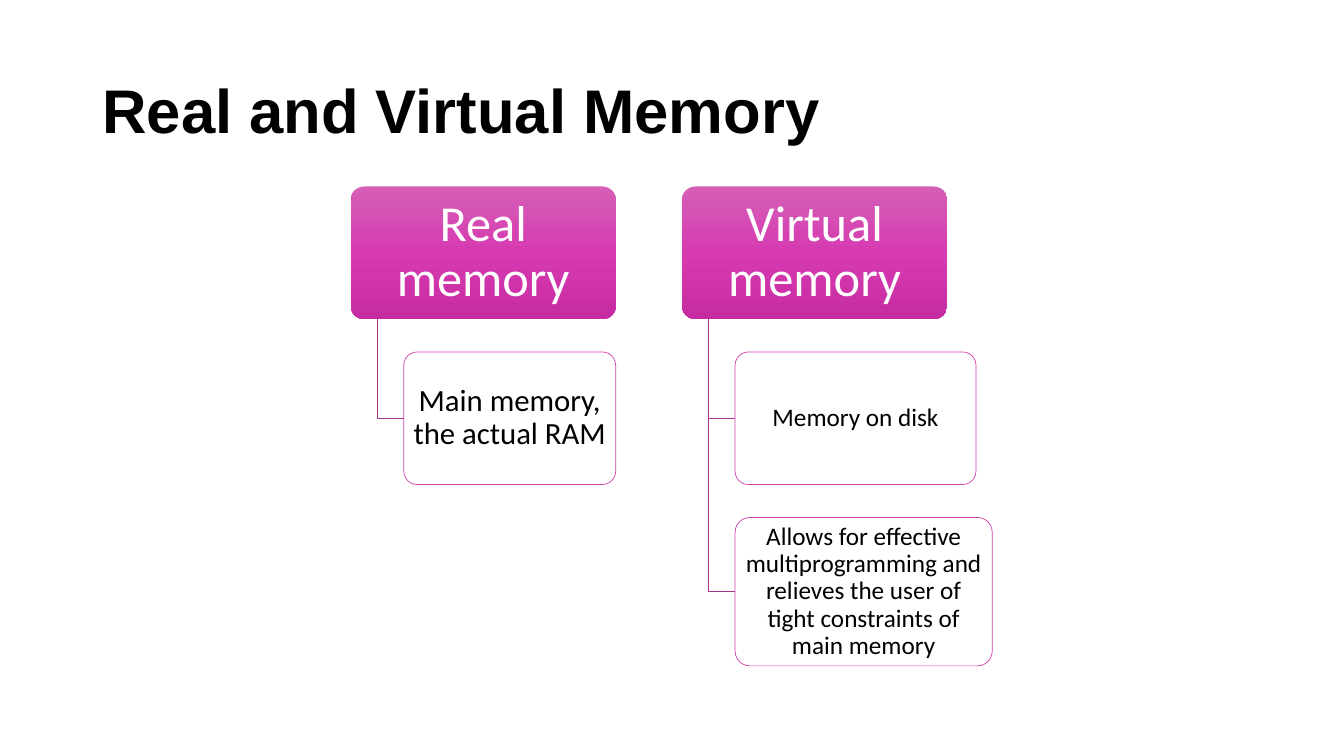
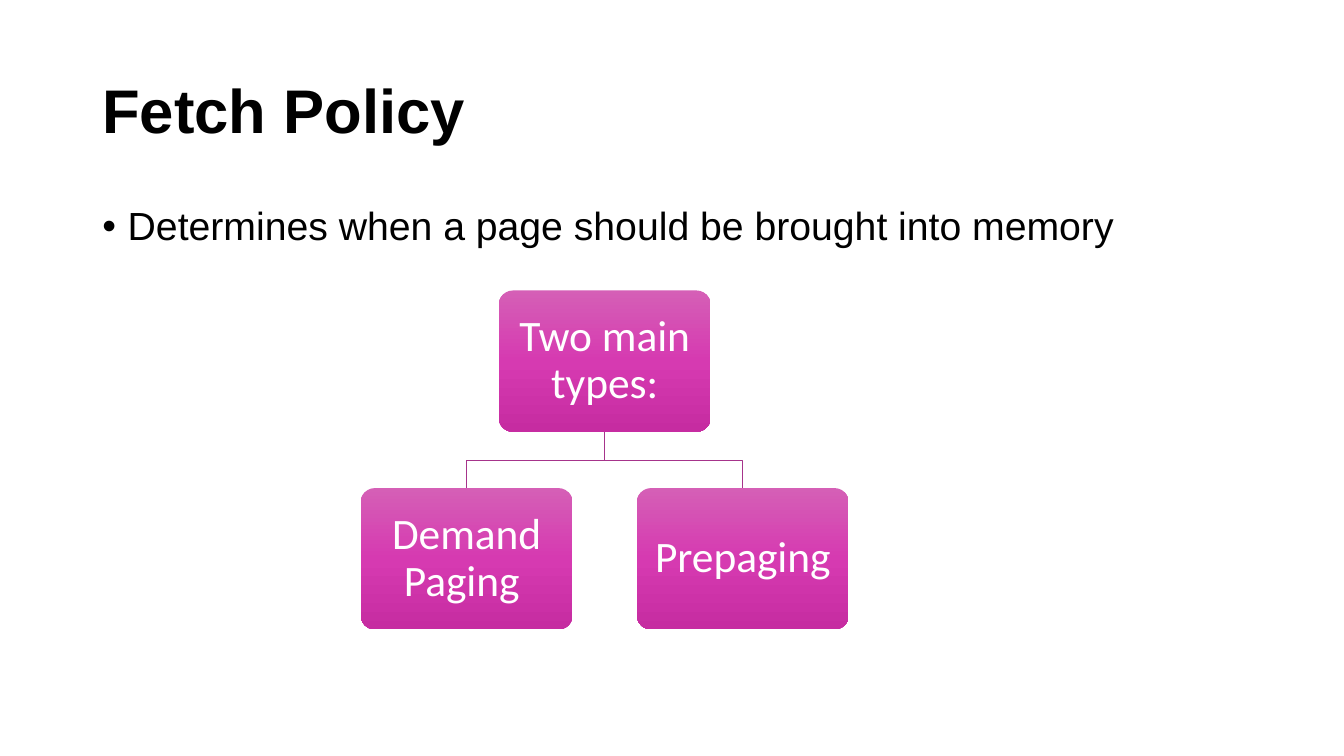
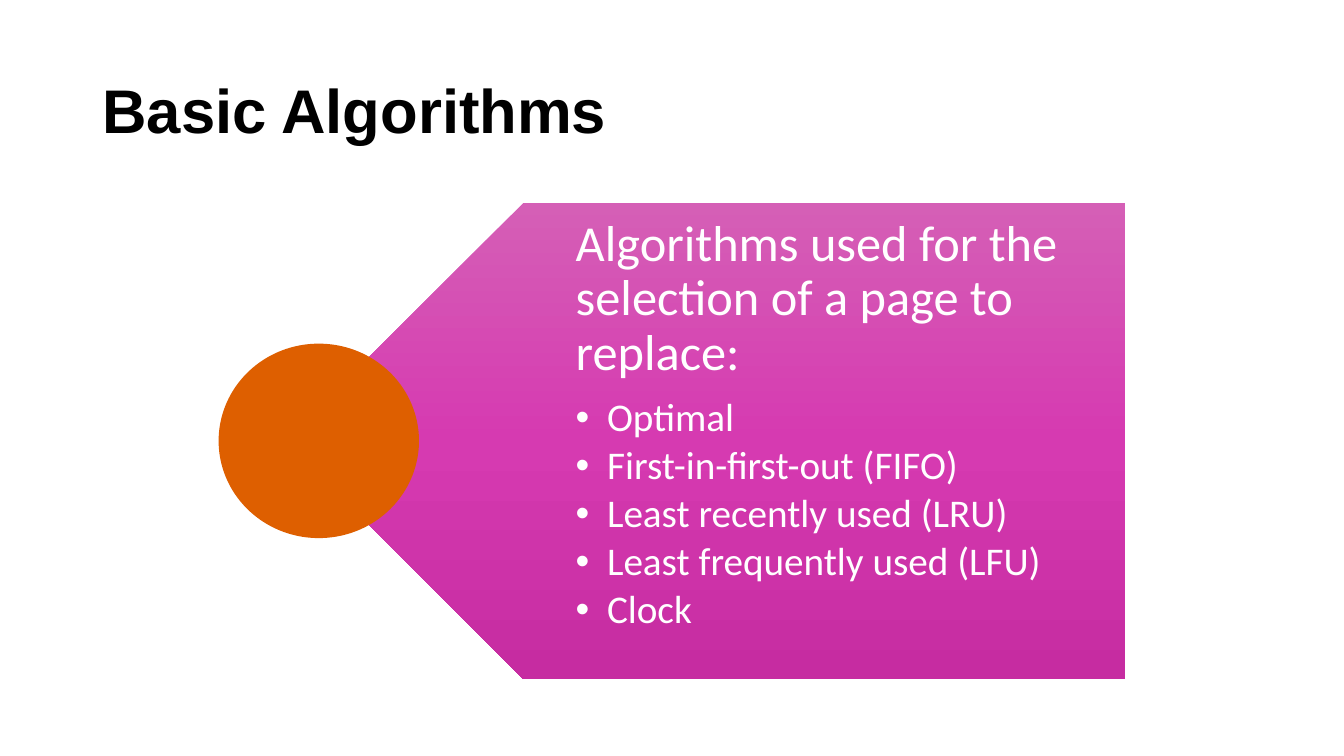
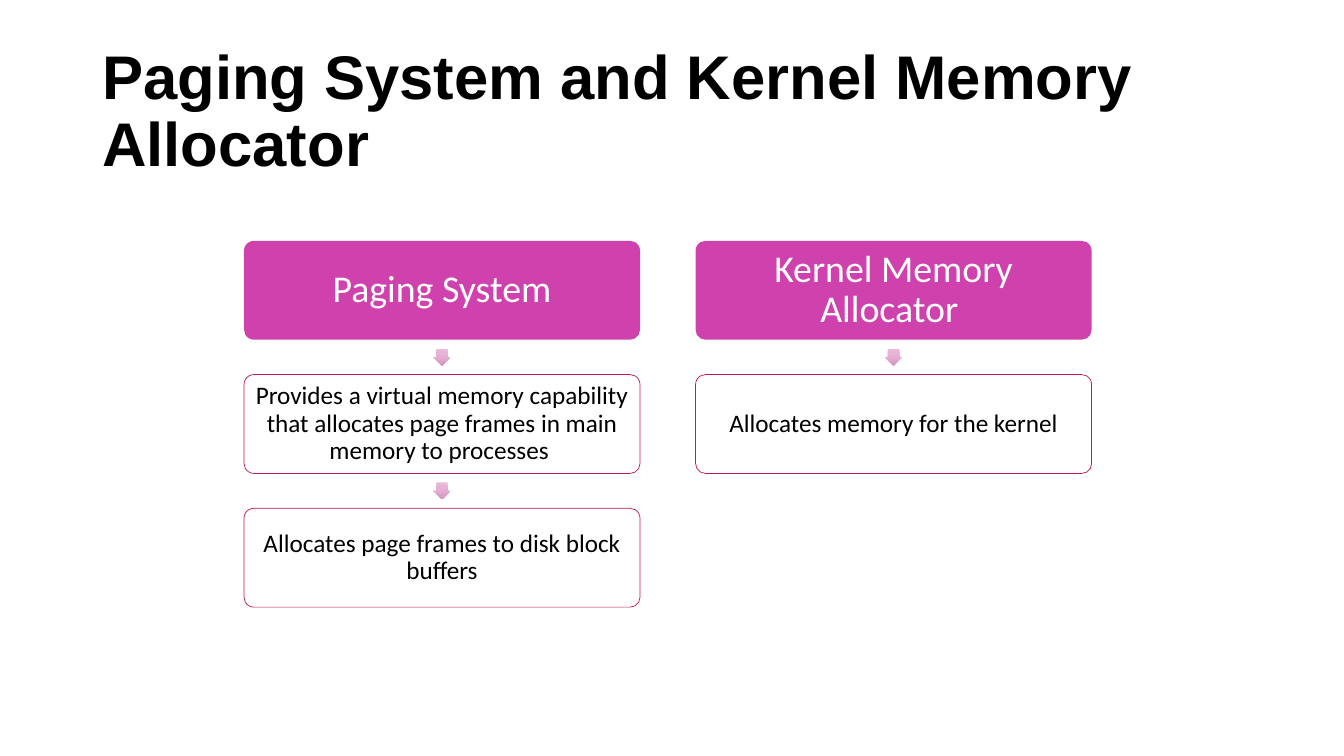
from pptx import Presentation
from pptx.dml.color import RGBColor
from pptx.enum.shapes import MSO_SHAPE
from pptx.enum.text import MSO_ANCHOR, PP_ALIGN
from pptx.oxml import parse_xml
from pptx.oxml.ns import nsdecls, qn
from pptx.util import Cm, Pt

BLACK, WHITE = "000000", "FFFFFF"
PINK, PLUM, CRIMSON, ORANGE = "CF41AD", "A6348B", "C11650", "DE5F00"
PINK_SHADES = ("D55FB6", "D63AB1", "C62CA1")
PALE_SHADES = ("E8BBD9", "E6ADD4", "D096BD")


def rgb(color):
    return RGBColor.from_string(color)


def write(tf, text, size=18, color=BLACK, font="Calibri", bold=False,
          align=PP_ALIGN.LEFT, after=0, bullet_indent=None):
    """Fill the first paragraph of tf, or add one if it already has text."""
    p = tf.add_paragraph() if tf.text else tf.paragraphs[0]
    if bullet_indent:
        pPr = p._p.get_or_add_pPr()
        pPr.set("marL", str(Cm(bullet_indent)))
        pPr.set("indent", str(-Cm(bullet_indent)))
        pPr.append(parse_xml(f'<a:buFont {nsdecls("a")} typeface="Arial"/>'))
        pPr.append(parse_xml(f'<a:buChar {nsdecls("a")} char="•"/>'))
    p.alignment = align
    p.line_spacing = 0.9
    p.space_after = Pt(after)
    r = p.add_run()
    r.text = text
    r.font.name, r.font.size, r.font.bold = font, Pt(size), bold
    r.font.color.rgb = rgb(color)


def set_frame(tf, anchor, left, top, right, bottom):
    tf.word_wrap = True
    tf.vertical_anchor = anchor
    tf.margin_left, tf.margin_top = Cm(left), Cm(top)
    tf.margin_right, tf.margin_bottom = Cm(right), Cm(bottom)


def add_text_box(s, x, y, w, h, anchor=MSO_ANCHOR.TOP,
                 margins=(0.25, 0.13, 0.25, 0.13)):
    tf = s.shapes.add_textbox(Cm(x), Cm(y), Cm(w), Cm(h)).text_frame
    set_frame(tf, anchor, *margins)
    return tf


def set_gradient(fill, shades):
    """Spread the shades evenly from top to bottom."""
    fill.gradient()
    fill.gradient_angle = 270
    stops = fill._fill._gradFill.find(qn("a:gsLst"))
    for stop in list(stops):
        stops.remove(stop)
    for i, shade in enumerate(shades):
        pos = i * 100000 // (len(shades) - 1)
        stops.append(parse_xml(f'<a:gs {nsdecls("a")} pos="{pos}">'
                               f'<a:srgbClr val="{shade}"/></a:gs>'))


def add_figure(s, kind, x, y, w, h, fill, line=None):
    """Add a preset shape; fill is one colour or a tuple of shades."""
    sp = s.shapes.add_shape(kind, Cm(x), Cm(y), Cm(w), Cm(h))
    sp.shadow.inherit = False
    if isinstance(fill, tuple):
        set_gradient(sp.fill, fill)
    else:
        sp.fill.solid()
        sp.fill.fore_color.rgb = rgb(fill)
    if line:
        sp.line.color.rgb = rgb(line)
        sp.line.width = Pt(0.5)
    else:
        sp.line.fill.background()
    return sp


def add_node(s, text, x, y, w, h, fill=WHITE, line=None, margin=0.1, **fmt):
    sp = add_figure(s, MSO_SHAPE.ROUNDED_RECTANGLE, x, y, w, h, fill, line)
    sp.adjustments[0] = 0.1
    set_frame(sp.text_frame, MSO_ANCHOR.MIDDLE, *[margin] * 4)
    write(sp.text_frame, text, align=PP_ALIGN.CENTER, **fmt)


def add_branch(s, *points):
    """Draw an open line through the points."""
    start, *rest = [(Cm(x), Cm(y)) for x, y in points]
    builder = s.shapes.build_freeform(*start)
    builder.add_line_segments(rest, close=False)
    sp = builder.convert_to_shape()
    sp.shadow.inherit = False
    sp.fill.background()
    sp.line.color.rgb = rgb(PLUM)
    sp.line.width = Pt(0.5)


def add_titled_slide(prs, title):
    s = prs.slides.add_slide(prs.slide_layouts[6])
    tf = add_text_box(s, 2.33, 1.01, 29.21, 3.68, MSO_ANCHOR.MIDDLE)
    write(tf, title, size=44, font="Arial", bold=True)
    return s


def add_memory_slide(prs):
    s = add_titled_slide(prs, "Real and Virtual Memory")
    top, w, h, gap = 4.7, 6.68, 3.34, 0.83
    columns = [
        (8.84, "Real memory",
         [("Main memory, the actual RAM", 5.34, h, 22)]),
        (17.19, "Virtual memory",
         [("Memory on disk", 6.07, h, 18),
          ("Allows for effective multiprogramming and relieves the user of "
           "tight constraints of main memory", 6.48, 3.74, 18)]),
    ]
    for x, head, children in columns:
        add_node(s, head, x, top, w, h, PINK_SHADES, size=36, color=WHITE)
        trunk, child_x = x + 0.1 * w, x + 0.2 * w
        y = top + h + gap
        for text, child_w, child_h, size in children:
            mid = y + child_h / 2
            add_branch(s, (trunk, top + h), (trunk, mid), (child_x, mid))
            add_node(s, text, child_x, y, child_w, child_h, line=PINK,
                     size=size)
            y += child_h + gap


def add_fetch_slide(prs):
    s = add_titled_slide(prs, "Fetch Policy")
    tf = add_text_box(s, 2.33, 5.08, 29.21, 12.09)
    write(tf, "Determines when a page should be brought into memory",
          size=28, font="Arial", bullet_indent=0.64)
    center, top, w, h, gap, offset = 15.24, 7.32, 5.34, 3.56, 1.42, 3.48
    child_y = top + h + gap
    bend = top + h + gap / 2

    def add_type(text, mid, y):
        add_node(s, text, mid - w / 2, y, w, h, PINK_SHADES, margin=0.33,
                 size=31, color=WHITE)

    add_type("Two main types:", center, top)
    for text, mid in (("Demand Paging ", center - offset),
                      ("Prepaging", center + offset)):
        add_branch(s, (center, top + h), (center, bend), (mid, bend),
                   (mid, child_y))
        add_type(text, mid, child_y)


def add_algorithms_slide(prs):
    s = add_titled_slide(prs, "Basic Algorithms")
    top, h = 5.11, 12.01
    plate = add_figure(s, MSO_SHAPE.PENTAGON, 7.19, top, 21.16, h, PINK_SHADES)
    plate._element.spPr.find(qn("a:xfrm")).set("flipH", "1")
    tf = add_text_box(s, 10.19, top, 18.16, h, margins=(4.32, 0.38, 0.71, 0.38))
    write(tf, "Algorithms used for the selection of a page to replace:",
          size=36, color=WHITE, after=12)
    for name in ("Optimal", "First-in-first-out (FIFO)",
                 "Least recently used (LRU)", "Least frequently used (LFU)",
                 "Clock"):
        write(tf, name, size=28, color=WHITE, after=4, bullet_indent=0.79)
    add_figure(s, MSO_SHAPE.OVAL, 5.51, 8.66, 5.05, 4.9, ORANGE)


def add_allocator_slide(prs):
    s = add_titled_slide(prs, "Paging System and Kernel Memory Allocator")
    top, w, h, gap, arrow = 6.07, 9.98, 2.49, 0.88, 0.43
    columns = [
        (6.15, "Paging System",
         ["Provides a virtual memory capability that allocates page frames "
          "in main memory to processes ",
          "Allocates page frames to disk block buffers"]),
        (17.53, "Kernel Memory Allocator ",
         ["Allocates memory for the kernel"]),
    ]
    for x, head, steps in columns:
        add_node(s, head, x, top, w, h, PINK, size=27, color=WHITE)
        for i, step in enumerate(steps, 1):
            y = top + i * (h + gap)
            sp = add_figure(s, MSO_SHAPE.DOWN_ARROW, x + (w - arrow) / 2,
                            y - (gap + arrow) / 2, arrow, arrow, PALE_SHADES)
            sp.adjustments[0] = 0.67
            add_node(s, step, x, y, w, h, line=CRIMSON, margin=0.08)


def main():
    prs = Presentation()
    prs.slide_width, prs.slide_height = Cm(33.87), Cm(19.05)
    add_memory_slide(prs)
    add_fetch_slide(prs)
    add_algorithms_slide(prs)
    add_allocator_slide(prs)
    prs.save("out.pptx")


if __name__ == "__main__":
    main()
